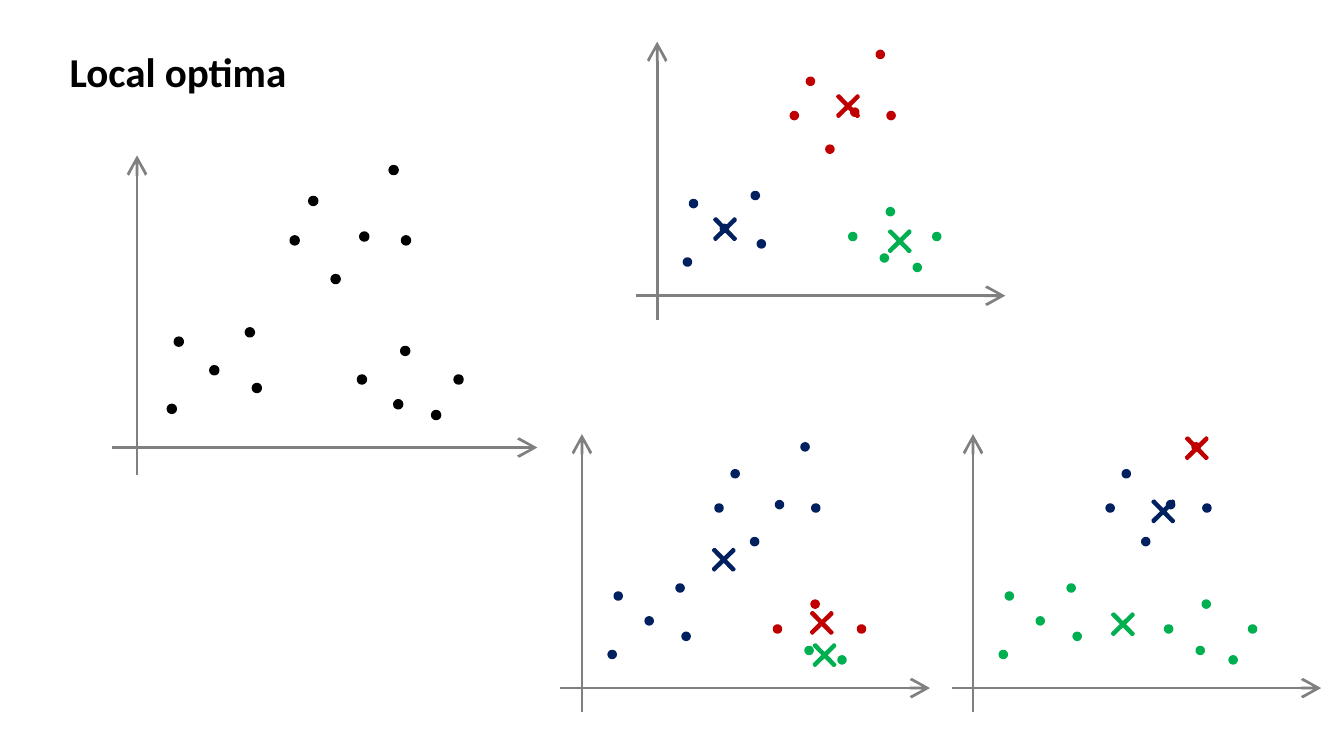
import pptx
import pptx.util
import pptx.dml.color
import pptx.enum.shapes
import pptx.enum.text
import pptx.oxml.ns
from lxml import etree

COLORS = {"text": "000000", "axis": "808080", "K": "000000",
          "B": "002060", "R": "C00000", "G": "00B050"}
SHAPE = pptx.enum.shapes.MSO_SHAPE
CELL = 0.1  # grid cell in inches: 100 columns by 56.25 rows

# One data set for every plot: cells right of and above the origin
POINTS = [
    (2.25, 2.5), (5, 5), (7.3, 7.45), (7.75, 3.85), (2.7, 6.85),
    (10.2, 13.4), (14.7, 13.65), (16.6, 17.95), (11.4, 15.95), (17.4, 13.4), (12.85, 10.9),
    (20.8, 4.4), (17.35, 6.25), (19.35, 2.1), (16.9, 2.8), (14.55, 4.4),
]

# Origin, scale, cluster of each point, centroid of each cluster
PLOTS = [
    ((10.2, 33.3), 1.15, "KKKKKKKKKKKKKKKK", {}),
    ((48.9, 22), 1, "BBBBBRRRRRRGGGGG",
     {"R": (14.2, 14.1), "G": (18.05, 4.05), "B": (5.05, 4.95)}),
    ((43.3, 51.2), 1, "BBBBBBBBBBBRRGGR",
     {"R": (17.85, 4.85), "G": (18.05, 2.45), "B": (10.55, 9.55)}),
    ((72.4, 51.2), 1, "GGGGGBBRBBBGGGGG",
     {"R": (16.65, 17.85), "G": (11.15, 4.75), "B": (14.15, 13.15)}),
]


def cells(n):
    return pptx.util.Inches(n * CELL)


def rgb(name):
    return pptx.dml.color.RGBColor.from_string(COLORS[name])


class Deck:
    font = "Calibri"

    def __init__(self, columns, rows):
        self.prs = pptx.Presentation()
        self.prs.slide_width = cells(columns)
        self.prs.slide_height = cells(rows)
        self.slide = self.prs.slides.add_slide(self.prs.slide_layouts[6])

    def title(self, text, x, y, w, h):
        tf = self.slide.shapes.add_textbox(cells(x), cells(y), cells(w), cells(h)).text_frame
        tf.word_wrap = True
        tf.auto_size = pptx.enum.text.MSO_AUTO_SIZE.SHAPE_TO_FIT_TEXT
        p = tf.paragraphs[0]
        p.text = text
        p.font.name, p.font.size, p.font.bold = self.font, pptx.util.Pt(22), True
        p.font.color.rgb = rgb("text")

    def marker(self, shapes, kind, center, size, color, width):
        x, y = center
        sp = shapes.add_shape(kind, cells(x - size / 2), cells(y - size / 2),
                              cells(size), cells(size))
        sp.shadow.inherit = False
        sp.fill.solid()
        sp.fill.fore_color.rgb = sp.line.color.rgb = rgb(color)
        sp.line.width = pptx.util.Pt(width)
        return sp

    def cross(self, shapes, center, color):
        sp = self.marker(shapes, SHAPE.CROSS, center, 2.1, color, 1.5)
        sp.adjustments[0] = 0.47
        sp.rotation = 45.6

    def axis(self, shapes, start, end):
        line = shapes.add_connector(pptx.enum.shapes.MSO_CONNECTOR.STRAIGHT,
                                    *(cells(n) for n in (*start, *end)))
        line.line.color.rgb = rgb("axis")
        line.line.width = pptx.util.Pt(1.5)
        qn = pptx.oxml.ns.qn
        etree.SubElement(line.line._get_or_add_ln(), qn("a:tailEnd"),
                         type="arrow", w="lg", len="lg")
        etree.SubElement(line._element.spPr, qn("a:effectLst"))

    def plot(self, origin, scale, clusters, centroids):
        shapes = self.slide.shapes.add_group_shape().shapes

        def place(right, up):
            return origin[0] + right * scale, origin[1] - up * scale

        for color, center in centroids.items():
            self.cross(shapes, place(*center), color)
        self.axis(shapes, place(0, -1.8), place(0, 18.9))
        self.axis(shapes, place(-1.6, 0), place(25.9, 0))
        for point, color in zip(POINTS, clusters):
            self.marker(shapes, SHAPE.OVAL, place(*point), 0.43 * scale, color, 2)


def main():
    deck = Deck(100, 56.25)
    deck.title("Local optima", 4.2, 3, 90.8, 4.7)
    # Unlabelled data, the best clustering, then two local optima
    for plot in PLOTS:
        deck.plot(*plot)
    deck.prs.save("out.pptx")


if __name__ == "__main__":
    main()
